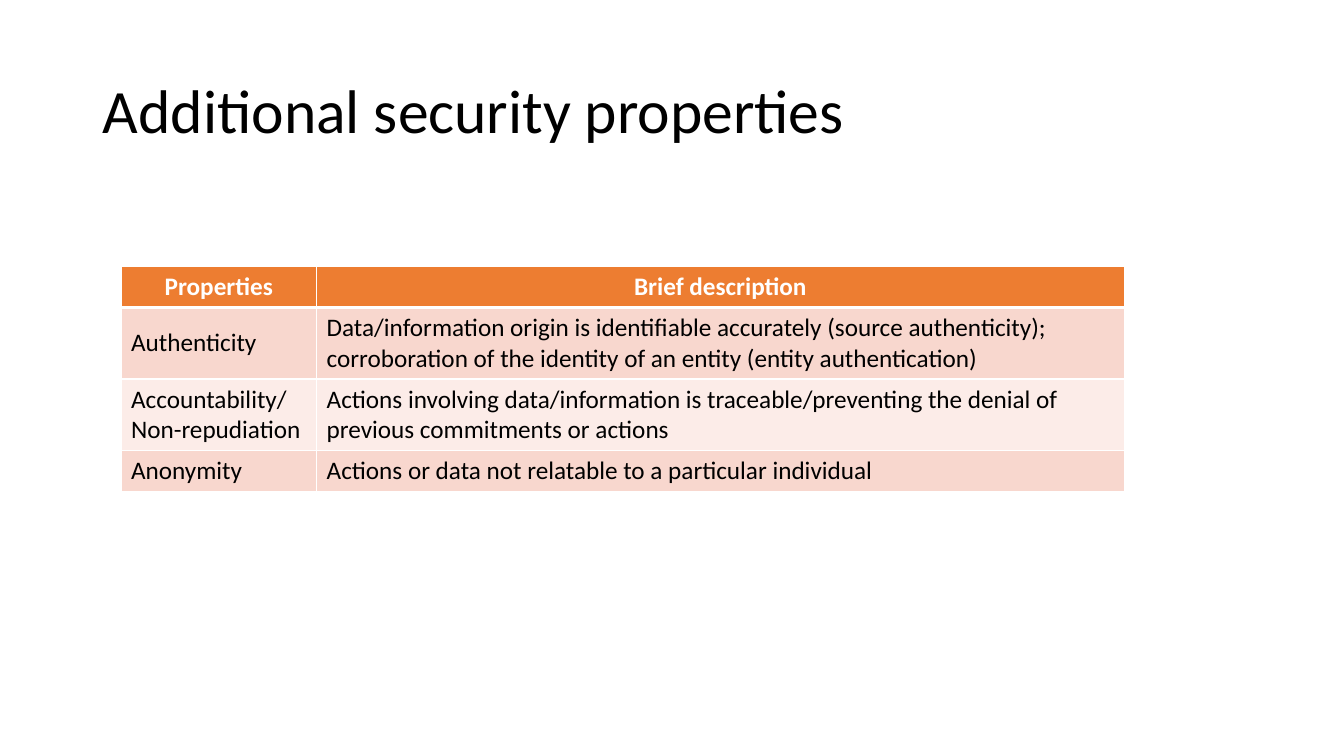
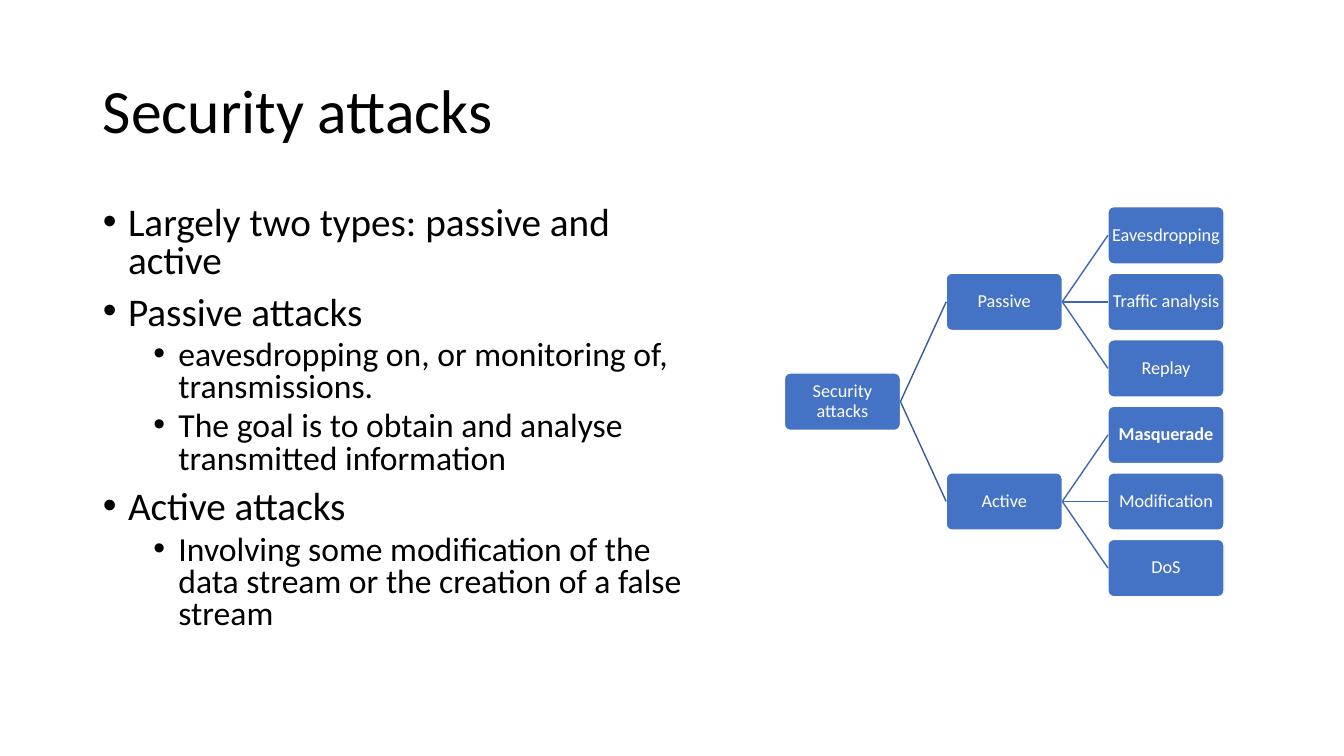
from dataclasses import dataclass

import lxml.etree
import pptx
import pptx.dml.color
import pptx.enum.shapes
import pptx.enum.text
import pptx.oxml
import pptx.oxml.ns
import pptx.util

Inches = pptx.util.Inches
Pt = pptx.util.Pt
Align = pptx.enum.text.PP_ALIGN
Anchor = pptx.enum.text.MSO_ANCHOR
qn = pptx.oxml.ns.qn


@dataclass(frozen=True)
class Theme:
    font: str = "Calibri"
    text: str = "000000"
    light: str = "FFFFFF"
    header: str = "ED7D31"
    bands: tuple = ("F8D7CE", "FCECE8")
    node: str = "4472C4"
    branches: tuple = ("365B9D", "3E67B2")
    title_size: int = 44
    list_sizes: tuple = (28, 24)
    table_size: int = 18
    node_size: int = 13


@dataclass(frozen=True)
class Box:
    """A region in inches."""
    left: float
    top: float
    width: float
    height: float

    def place(self, shape):
        shape.left, shape.top, shape.width, shape.height = self.lengths()

    def lengths(self):
        return [Inches(value) for value in
                (self.left, self.top, self.width, self.height)]


THEME = Theme()
SLIDE_WIDTH, SLIDE_HEIGHT = 13.33, 7.5
TITLE_BOX = Box(0.92, 0.4, 11.5, 1.45)
TABLE_BOX = Box(1.2, 2.64, 9.95, 2.22)
LIST_BOX = Box(0.92, 2, 6, 4.51)
TREE_BOX = Box(7.78, 2.05, 4.36, 3.87)

PROPERTIES = [
    ("Properties", "Brief description"),
    ("Authenticity",
     "Data/information origin is identifiable accurately (source authenticity); "
     "corroboration of the identity of an entity (entity authentication)"),
    ("Accountability/Non-repudiation",
     "Actions involving data/information is traceable/preventing the denial of "
     "previous commitments or actions"),
    ("Anonymity", "Actions or data not relatable to a particular individual"),
]
COLUMN_SHARES = (0.195, 0.805)
ROW_HEIGHTS = (0.41, 0.7, 0.7, 0.41)

ATTACK_POINTS = [
    (0, "Largely two types: passive and active"),
    (0, "Passive attacks"),
    (1, "eavesdropping on, or monitoring of, transmissions."),
    (1, "The goal is to obtain and analyse transmitted information"),
    (0, "Active attacks"),
    (1, "Involving some modification of the data stream or the creation of a "
        "false stream"),
]
ATTACK_TREE = ("Security attacks", [
    ("Passive", [("Eavesdropping", []), ("Traffic analysis", []), ("Replay", [])]),
    ("Active", [("Masquerade", []), ("Modification", []), ("DoS", [])]),
])
BOLD_NODES = {"Masquerade"}


def rgb(color):
    return pptx.dml.color.RGBColor.from_string(color)


def format_runs(paragraph, size, color=THEME.text, bold=False):
    for run in paragraph.runs:
        run.font.name = THEME.font
        run.font.size = Pt(size)
        run.font.bold = bold
        run.font.color.rgb = rgb(color)


def add_titled_slide(presentation, layout_index, title):
    slide = presentation.slides.add_slide(presentation.slide_layouts[layout_index])
    TITLE_BOX.place(slide.shapes.title)
    frame = slide.shapes.title.text_frame
    frame.text = title
    frame.auto_size = pptx.enum.text.MSO_AUTO_SIZE.NONE
    frame.vertical_anchor = Anchor.MIDDLE
    paragraph = frame.paragraphs[0]
    paragraph.alignment = Align.LEFT
    paragraph.line_spacing = 0.9
    format_runs(paragraph, THEME.title_size)
    return slide


def set_borders(cell, widths):
    """Draw light cell borders; widths maps the sides L, R, T, B to points."""
    properties = cell._tc.get_or_add_tcPr()
    for index, side in enumerate("LRTB"):
        line = lxml.etree.Element(qn(f"a:ln{side}"), w=str(Pt(widths[side])))
        fill = lxml.etree.SubElement(line, qn("a:solidFill"))
        lxml.etree.SubElement(fill, qn("a:srgbClr"), val=THEME.light)
        properties.insert(index, line)


def add_properties_table(slide, box, rows):
    table = slide.shapes.add_table(len(rows), len(rows[0]), *box.lengths()).table
    for column, share in zip(table.columns, COLUMN_SHARES):
        column.width = Inches(box.width * share)
    for row_index, texts in enumerate(rows):
        table.rows[row_index].height = Inches(ROW_HEIGHTS[row_index])
        is_header = row_index == 0
        fill = THEME.header if is_header else THEME.bands[(row_index - 1) % 2]
        for column_index, text in enumerate(texts):
            cell = table.cell(row_index, column_index)
            cell.text_frame.text = text
            cell.fill.solid()
            cell.fill.fore_color.rgb = rgb(fill)
            is_label = column_index == 0 and not is_header
            cell.vertical_anchor = Anchor.MIDDLE if is_label else Anchor.TOP
            paragraph = cell.text_frame.paragraphs[0]
            paragraph.alignment = Align.CENTER if is_header else Align.LEFT
            format_runs(paragraph, THEME.table_size,
                        THEME.light if is_header else THEME.text, is_header)
            set_borders(cell, {"L": 1, "R": 1,
                               "T": 3 if row_index == 1 else 1,
                               "B": 3 if is_header else 1})


def add_bullet(paragraph, level):
    properties = paragraph._p.get_or_add_pPr()
    properties.set("marL", str(Inches(0.25 + 0.5 * level)))
    properties.set("indent", str(Inches(-0.25)))
    lxml.etree.SubElement(properties, qn("a:buFont"), typeface="Arial")
    lxml.etree.SubElement(properties, qn("a:buChar"), char="•")


def fill_list(placeholder, box, points):
    box.place(placeholder)
    frame = placeholder.text_frame
    frame.text = "\n".join(text for _, text in points)
    frame.auto_size = pptx.enum.text.MSO_AUTO_SIZE.NONE
    for index, (level, _) in enumerate(points):
        paragraph = frame.paragraphs[index]
        paragraph.level = level
        add_bullet(paragraph, level)
        paragraph.line_spacing = 0.8
        paragraph.space_before = Pt(0 if index == 0 else (10, 5)[level])
        format_runs(paragraph, THEME.list_sizes[level])


def add_node(slide, box, text):
    node = slide.shapes.add_shape(
        pptx.enum.shapes.MSO_SHAPE.ROUNDED_RECTANGLE, *box.lengths())
    node.adjustments[0] = 0.1
    node.shadow.inherit = False
    node.fill.solid()
    node.fill.fore_color.rgb = rgb(THEME.node)
    node.line.color.rgb = rgb(THEME.light)
    node.line.width = Pt(1)
    frame = node.text_frame
    frame.text = text
    frame.word_wrap = True
    frame.vertical_anchor = Anchor.MIDDLE
    frame.margin_left = frame.margin_right = 0
    frame.margin_top = frame.margin_bottom = 0
    paragraph = frame.paragraphs[0]
    paragraph.alignment = Align.CENTER
    paragraph.line_spacing = 0.9
    format_runs(paragraph, THEME.node_size, THEME.light, text in BOLD_NODES)
    return node


def add_branch(slide, parent, child, color):
    branch = slide.shapes.add_connector(
        pptx.enum.shapes.MSO_CONNECTOR.STRAIGHT, 0, 0, 0, 0)
    branch.begin_connect(parent, 3)
    branch.end_connect(child, 1)
    branch.line.color.rgb = rgb(color)
    branch.line.width = Pt(1)
    lxml.etree.SubElement(branch._element.spPr, qn("a:effectLst"))


def count_leaves(tree):
    return sum(map(count_leaves, tree[1])) or 1


def add_tree(slide, box, tree):
    """Grow a tree rightwards: one row per leaf, each parent centred on its children."""
    leaves = count_leaves(tree)
    node_width, node_height = box.width * 0.264, box.height * 0.147
    column_step = (box.width - node_width) / 2
    row_step = (box.height - node_height) / (leaves - 1)

    def grow(branch, depth, first_row):
        text, children = branch
        row = first_row + (count_leaves(branch) - 1) / 2
        node = add_node(slide, Box(box.left + depth * column_step,
                                   box.top + row * row_step,
                                   node_width, node_height), text)
        for child in children:
            child_node = grow(child, depth + 1, first_row)
            add_branch(slide, node, child_node, THEME.branches[depth])
            first_row += count_leaves(child)
        return node

    grow(tree, 0, 0)


def main():
    presentation = pptx.Presentation()
    presentation.slide_width = Inches(SLIDE_WIDTH)
    presentation.slide_height = Inches(SLIDE_HEIGHT)

    properties_slide = add_titled_slide(
        presentation, 5, "Additional security properties")
    add_properties_table(properties_slide, TABLE_BOX, PROPERTIES)

    attacks_slide = add_titled_slide(presentation, 1, "Security attacks")
    fill_list(attacks_slide.placeholders[1], LIST_BOX, ATTACK_POINTS)
    add_tree(attacks_slide, TREE_BOX, ATTACK_TREE)

    presentation.save("out.pptx")


if __name__ == "__main__":
    main()
